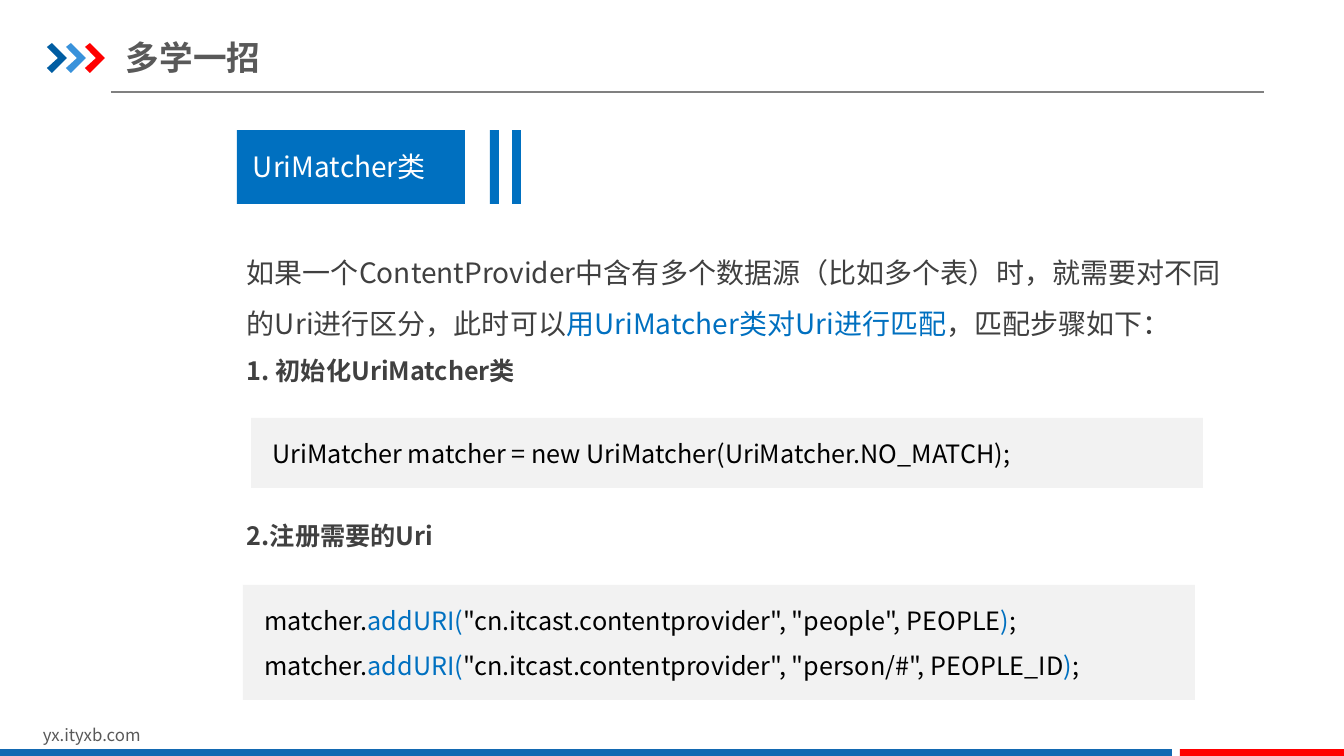
import pptx
import pptx.util
import pptx.dml.color
import pptx.enum.shapes
import pptx.enum.text
import pptx.oxml.ns
from lxml import etree

RGB = pptx.dml.color.RGBColor
RECTANGLE = pptx.enum.shapes.MSO_SHAPE.RECTANGLE
ANCHOR = pptx.enum.text.MSO_ANCHOR

PX = 914400 / 100.8  # EMU in one px
FONT = "Noto Sans CJK SC"
WHITE = RGB(0xFF, 0xFF, 0xFF)
BLACK = RGB(0x00, 0x00, 0x00)
RED = RGB(0xFF, 0x00, 0x00)
BLUE = RGB(0x00, 0x70, 0xC0)
NAVY = RGB(0x00, 0x5D, 0xA2)
SKY = RGB(0x39, 0x92, 0xDB)
FOOTER_BLUE = RGB(0x13, 0x69, 0xB2)
LINE_GRAY = RGB(0x80, 0x80, 0x80)
TITLE_GRAY = RGB(0x59, 0x59, 0x59)
TEXT_GRAY = RGB(0x40, 0x40, 0x40)
CODE_GRAY = RGB(0xF2, 0xF2, 0xF2)

presentation = pptx.Presentation()
presentation.slide_width = round(1344 * PX)
presentation.slide_height = round(756 * PX)
slide = presentation.slides.add_slide(presentation.slide_layouts[5])


def add_bar(left, top, width, height, color):
    box = [round(value * PX) for value in (left, top, width, height)]
    shape = slide.shapes.add_shape(RECTANGLE, *box)
    shape.shadow.inherit = False
    shape.fill.solid()
    shape.fill.fore_color.rgb = color
    shape.line.fill.background()
    return shape


def write(paragraph, parts, size, bold=False, spacing=1.0):
    paragraph.alignment = pptx.enum.text.PP_ALIGN.LEFT
    paragraph.line_spacing = spacing
    for text, color in parts:
        run = paragraph.add_run()
        run.text = text
        run.font.name = FONT
        run.font.size = pptx.util.Pt(size)
        run.font.bold = bold
        run.font.color.rgb = color
        east_asian = etree.SubElement(run.font._element, pptx.oxml.ns.qn("a:ea"))
        east_asian.set("typeface", FONT)


# Title and its rule
title = slide.shapes.title
title.left, title.top = round(126 * PX), round(29 * PX)
title.width, title.height = round(429 * PX), round(56 * PX)
title.text_frame.margin_left = title.text_frame.margin_right = 0
title.text_frame.vertical_anchor = ANCHOR.MIDDLE
write(title.text_frame.paragraphs[0], [("多学一招", TITLE_GRAY)], 24, bold=True)

rule = slide.shapes.add_connector(
    pptx.enum.shapes.MSO_CONNECTOR.STRAIGHT,
    round(111 * PX), round(92 * PX), round(1264 * PX), round(92 * PX))
rule.line.color.rgb = LINE_GRAY
rule.line.width = pptx.util.Pt(0.75)
etree.SubElement(rule._element.spPr, pptx.oxml.ns.qn("a:effectLst"))

# Three chevrons before the title
chevron_points = [(5, 0), (20, 15), (5, 30), (0, 25), (11, 15)]
for index, color in enumerate((NAVY, SKY, RED)):
    left, top = 47 + 19 * index, 43
    builder = slide.shapes.build_freeform(left, top + 4, scale=PX)
    builder.add_line_segments([(left + x, top + y) for x, y in chevron_points])
    chevron = builder.convert_to_shape()
    chevron.shadow.inherit = False
    chevron.fill.solid()
    chevron.fill.fore_color.rgb = color
    chevron.line.fill.background()

# Footer bars and topic bars
for bar in (
    (0, 749, 1172, 9, FOOTER_BLUE),
    (1180, 749, 164, 9, RED),
    (237, 130, 228, 74, BLUE),
    (490, 130, 9, 74, BLUE),
    (512, 130, 9, 74, BLUE),
):
    add_bar(*bar)

# Text boxes: left, top, width, height, then paragraphs of parts, size, bold, spacing
intro = [
    ("如果一个ContentProvider中含有多个数据源（比如多个表）时，就需要对不同的Uri进行区分，此时可以", TEXT_GRAY),
    ("用UriMatcher类对Uri进行匹配", BLUE),
    ("，匹配步骤如下：", TEXT_GRAY),
]
text_boxes = [
    (33, 720, 321, 30, [([("yx.ityxb.com", TITLE_GRAY)], 12, False, 1.0)]),
    (243, 145, 220, 44, [([("UriMatcher类", WHITE)], 20, False, 1.0)]),
    (237, 234, 1018, 326, [
        (intro, 20, False, 1.5),
        ([("1. 初始化UriMatcher类", TEXT_GRAY)], 18, True, 1.5),
        ([("2.注册需要的Uri", TEXT_GRAY)], 18, True, 1.5),
    ]),
]
for left, top, width, height, paragraphs in text_boxes:
    text_box = slide.shapes.add_textbox(
        round(left * PX), round(top * PX), round(width * PX), round(height * PX))
    frame = text_box.text_frame
    frame.word_wrap = True
    for index, content in enumerate(paragraphs):
        paragraph = frame.paragraphs[0] if index == 0 else frame.add_paragraph()
        write(paragraph, *content)
# Room for the first code panel above the second step
paragraph.space_before = pptx.util.Pt(86)

# Code panels
register_lines = [
    [
        ("  matcher.", BLACK),
        ("addURI(", BLUE),
        (f'"cn.itcast.contentprovider", {arguments}', BLACK),
        (")", BLUE),
        (";", BLACK),
    ]
    for arguments in ('"people", PEOPLE', '"person/#", PEOPLE_ID')
]
create_lines = [[("  UriMatcher matcher = new UriMatcher(UriMatcher.NO_MATCH);", BLACK)]]
for left, top, height, lines in (
    (251, 418, 70, create_lines),
    (243, 585, 115, register_lines),
):
    frame = add_bar(left, top, 952, height, CODE_GRAY).text_frame
    frame.word_wrap = True
    frame.vertical_anchor = ANCHOR.TOP
    for index, parts in enumerate(lines):
        paragraph = frame.paragraphs[0] if index == 0 else frame.add_paragraph()
        write(paragraph, parts, 18, spacing=1.5)

presentation.save("out.pptx")
